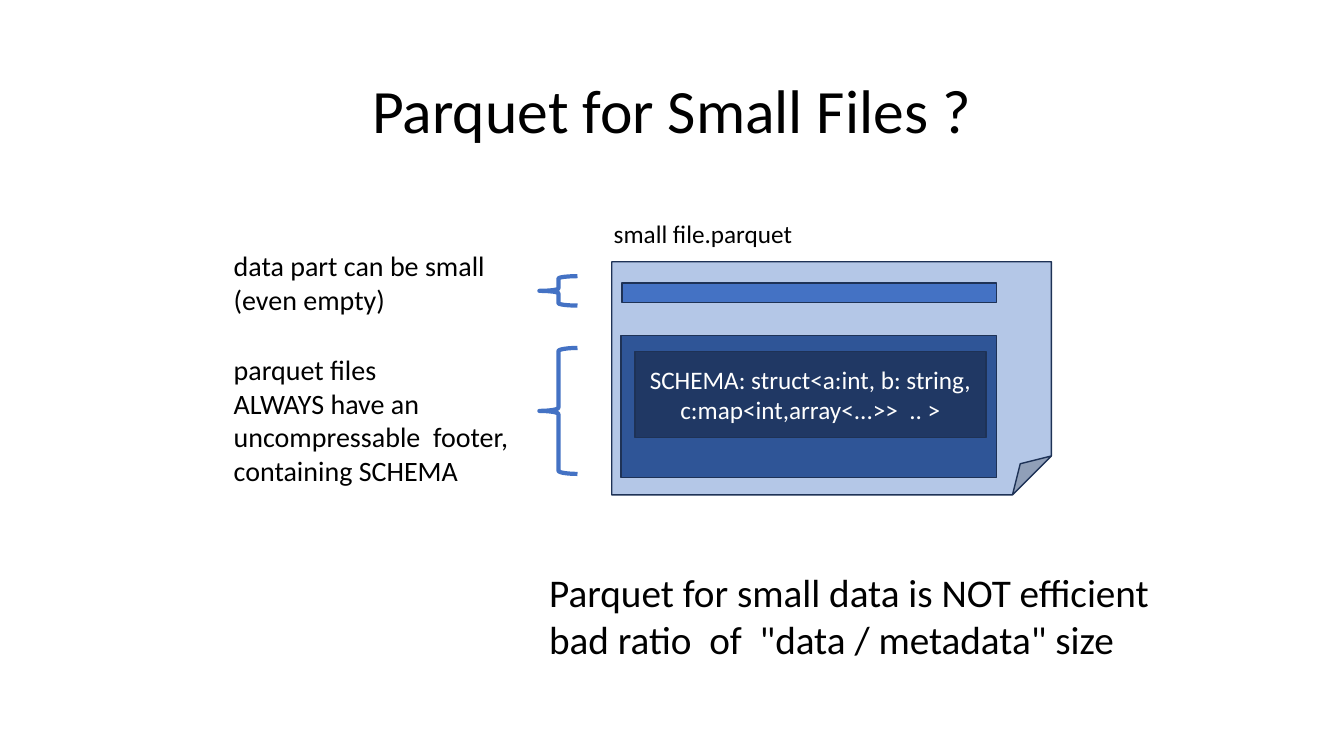
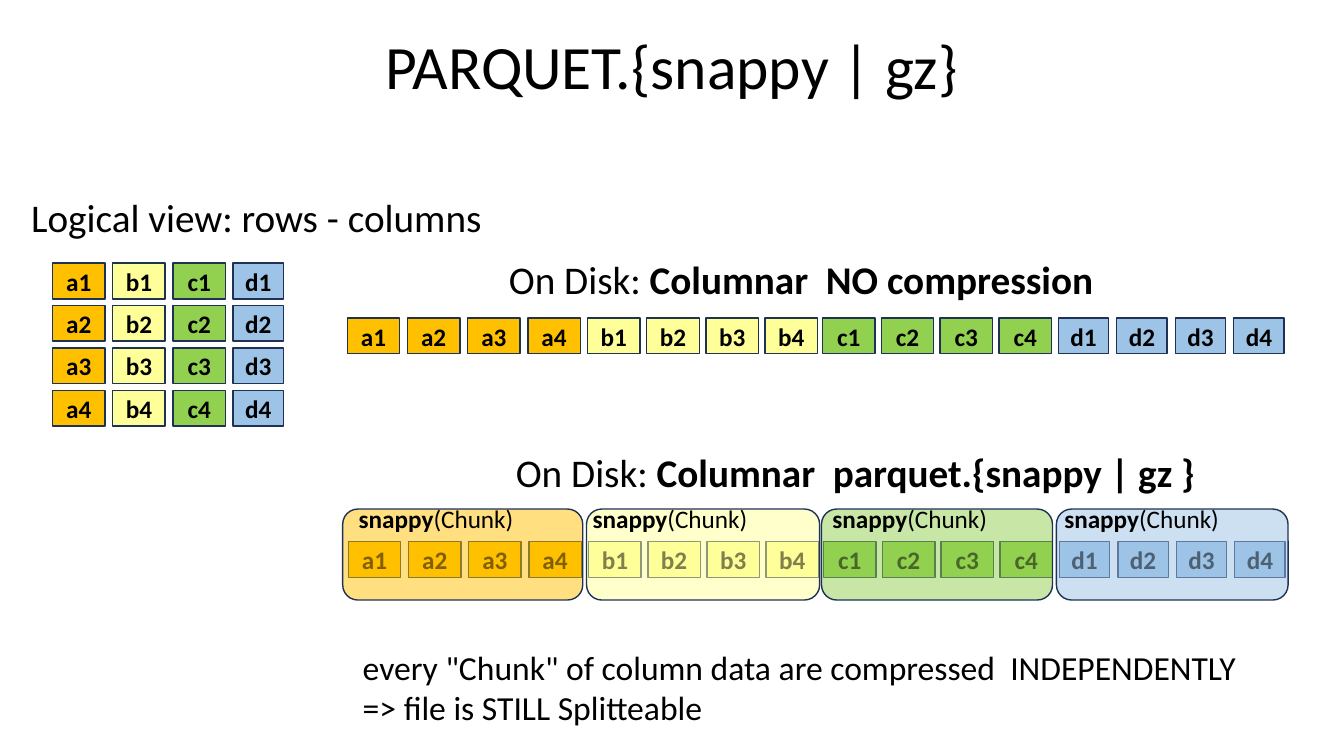
"""Build two slides about Parquet: small files and columnar compression."""
from dataclasses import dataclass
from typing import NamedTuple, Optional

from lxml import etree
from pptx import Presentation
from pptx.dml.color import RGBColor
from pptx.enum.shapes import MSO_SHAPE
from pptx.enum.text import MSO_ANCHOR, MSO_AUTO_SIZE, PP_ALIGN
from pptx.oxml.ns import qn
from pptx.shapes.autoshape import Shape
from pptx.slide import Slide
from pptx.util import Pt

RECT = MSO_SHAPE.RECTANGLE
ROUND_RECT = MSO_SHAPE.ROUNDED_RECTANGLE
FOLDED = MSO_SHAPE.FOLDED_CORNER
BRACE = MSO_SHAPE.LEFT_BRACE
MIDDLE = MSO_ANCHOR.MIDDLE
CENTER = PP_ALIGN.CENTER
NO_FIT = MSO_AUTO_SIZE.NONE
GROW = MSO_AUTO_SIZE.SHAPE_TO_FIT_TEXT

BLACK = RGBColor(0x00, 0x00, 0x00)
WHITE = RGBColor(0xFF, 0xFF, 0xFF)
OUTLINE = RGBColor(0x1E, 0x32, 0x56)
PAGE_BLUE = RGBColor(0xB4, 0xC7, 0xE7)
FOOTER_BLUE = RGBColor(0x2F, 0x55, 0x97)
SCHEMA_BLUE = RGBColor(0x20, 0x38, 0x64)
DATA_BLUE = RGBColor(0x44, 0x72, 0xC4)
ORANGE = RGBColor(0xFF, 0xC0, 0x00)
YELLOW = RGBColor(0xFF, 0xFF, 0x99)
GREEN = RGBColor(0x92, 0xD0, 0x50)
SKY = RGBColor(0x9D, 0xC3, 0xE6)

FONT = "Calibri"
ROWS = 4
CELL_HEIGHT = 25.5
GRID_LEFT, GRID_TOP = 37.5, 188
GRID_PITCH_X, GRID_PITCH_Y = 43, 30.25
DISK_TOP, CHUNK_CELL_TOP = 227.25, 387
CHUNK_TOP, CHUNK_HEIGHT, CHUNK_LABEL_TOP = 363.6, 65, 355.7


class Box(NamedTuple):
    """Place and size in points."""
    left: float
    top: float
    width: float
    height: float


class Run(NamedTuple):
    """Piece of text with its weight."""
    text: str
    bold: bool = False


@dataclass(frozen=True)
class Column:
    """Data column, its cells on disk and its compressed chunk."""
    name: str
    color: RGBColor
    cell_width: float
    disk_left: float
    pitch: float
    chunk_left: float
    chunk_width: float
    label_left: float


COLUMNS = (
    Column("a", ORANGE, 37.5, 248, 43, 244.8, 171.5, 249.1),
    Column("b", YELLOW, 37.5, 419.75, 42.25, 419, 166.5, 416.2),
    Column("c", GREEN, 37.5, 587.5, 42, 586.8, 165, 587.5),
    Column("d", SKY, 36, 756, 41.75, 754.6, 165.5, 753.1),
)


def emus(box: Box) -> list[Pt]:
    """Return the box as python-pptx lengths."""
    return [Pt(v) for v in box]


def style_runs(sp: Shape, size: float, color: RGBColor = BLACK) -> None:
    """Set font, size and colour of all the runs of a shape."""
    for p in sp.text_frame.paragraphs:
        for r in p.runs:
            r.font.name = FONT
            r.font.size = Pt(size)
            r.font.color.rgb = color


def add_title_slide(prs: Presentation, title: str, box: Box) -> Slide:
    """Add a title-only slide and place its title."""
    s = prs.slides.add_slide(prs.slide_layouts[5])
    sp = s.shapes.title
    sp.left, sp.top, sp.width, sp.height = emus(box)
    tf = sp.text_frame
    tf.text = title
    tf.auto_size = NO_FIT
    tf.vertical_anchor = MIDDLE
    tf.paragraphs[0].alignment = CENTER
    tf.paragraphs[0].line_spacing = 0.9
    style_runs(sp, 44)
    return s


def add_text(s: Slide, box: Box, size: float, *lines: list[Run]) -> None:
    """Add an unwrapped text box with one paragraph per line."""
    sp = s.shapes.add_textbox(*emus(box))
    tf = sp.text_frame
    tf.word_wrap = False
    tf.auto_size = GROW
    for i, line in enumerate(lines):
        p = tf.add_paragraph() if i else tf.paragraphs[0]
        for run in line:
            r = p.add_run()
            r.text = run.text
            r.font.bold = run.bold
    style_runs(sp, size)


def add_block(s: Slide, kind: MSO_SHAPE, box: Box, fill: Optional[RGBColor],
              line: RGBColor = OUTLINE, weight: float = 1) -> Shape:
    """Add a flat outlined shape, unfilled when fill is None."""
    sp = s.shapes.add_shape(kind, *emus(box))
    sp.shadow.inherit = False
    if fill is None:
        sp.fill.background()
    else:
        sp.fill.solid()
        sp.fill.fore_color.rgb = fill
    sp.line.color.rgb = line
    sp.line.width = Pt(weight)
    return sp


def add_cell(s: Slide, column: Column, row: int, left: float, top: float) -> None:
    """Add one labelled data cell."""
    sp = add_block(s, RECT, Box(left, top, column.cell_width, CELL_HEIGHT), column.color)
    tf = sp.text_frame
    tf.margin_left = tf.margin_right = tf.margin_top = tf.margin_bottom = 0
    tf.vertical_anchor = MIDDLE
    tf.text = f"{column.name}{row + 1}"
    p = tf.paragraphs[0]
    p.alignment = CENTER
    p.runs[0].font.bold = True
    style_runs(sp, 18)


def add_disk_row(s: Slide, top: float, shift: float = 0) -> None:
    """Add the cells of all columns one after the other."""
    for column in COLUMNS:
        for row in range(ROWS):
            add_cell(s, column, row, column.disk_left + shift + row * column.pitch, top)


def add_chunk(s: Slide, column: Column) -> None:
    """Add a half-transparent chunk and its label."""
    box = Box(column.chunk_left, CHUNK_TOP, column.chunk_width, CHUNK_HEIGHT)
    sp = add_block(s, ROUND_RECT, box, column.color)
    color = sp.fill._xPr.find(qn("a:solidFill")).find(qn("a:srgbClr"))
    etree.SubElement(color, qn("a:alpha")).set("val", "50000")
    add_text(s, Box(column.label_left, CHUNK_LABEL_TOP, 125.5, 29), 18,
             [Run("snappy", True), Run("(Chunk)")])


def build_small_files(prs: Presentation) -> None:
    """Build the slide on small files."""
    s = add_title_slide(prs, "Parquet for Small Files ?", Box(66, 28.75, 828, 104.4))
    add_block(s, FOLDED, Box(437, 187, 314, 166.5), PAGE_BLUE)
    add_block(s, RECT, Box(443.5, 239.75, 268.5, 101.5), FOOTER_BLUE)
    sp = add_block(s, RECT, Box(453.5, 251.25, 250.75, 61.25), SCHEMA_BLUE)
    tf = sp.text_frame
    tf.text = "SCHEMA: struct<a:int, b: string, c:map<int,array<...>>  .. >"
    tf.vertical_anchor = MIDDLE
    tf.paragraphs[0].alignment = CENTER
    style_runs(sp, 18, WHITE)
    add_block(s, RECT, Box(444.25, 202.25, 267.75, 13.75), DATA_BLUE)
    for top, height in ((248.5, 90), (197.25, 21)):
        add_block(s, BRACE, Box(385.25, top, 27.25, height), None, DATA_BLUE, 3)
    add_text(s, Box(431.3, 152.6, 143.3, 29), 18, [Run("small file.parquet")])
    add_text(s, Box(159.8, 248.4, 212.4, 104.4), 20,
             [Run("parquet files")], [Run("ALWAYS have an")],
             [Run("uncompressable  footer,")], [Run("containing SCHEMA")])
    add_text(s, Box(159.8, 174.2, 195.8, 55.4), 20,
             [Run("data part can be small")], [Run("(even empty)")])
    add_text(s, Box(385.2, 402.5, 454.3, 75), 28,
             [Run("Parquet for small data is NOT efficient")],
             [Run('bad ratio  of  "data / metadata" size')])


def build_compression(prs: Presentation) -> None:
    """Build the slide on columnar compression."""
    s = add_title_slide(prs, "PARQUET.{snappy | gz}", Box(66, 10.75, 828, 78.5))
    add_text(s, Box(15.1, 134.6, 339.8, 41), 28, [Run("Logical view: rows - columns")])
    for i, column in enumerate(COLUMNS):
        for row in range(ROWS):
            add_cell(s, column, row, GRID_LEFT + i * GRID_PITCH_X,
                     GRID_TOP + row * GRID_PITCH_Y)
    add_text(s, Box(356.4, 178.6, 436.3, 41), 28,
             [Run("On Disk: "), Run("Columnar  NO compression", True)])
    add_disk_row(s, DISK_TOP)
    add_text(s, Box(361.4, 316.8, 501.1, 41), 28,
             [Run("On Disk: "), Run("Columnar  parquet.{snappy | gz }", True)])
    add_disk_row(s, CHUNK_CELL_TOP, 0.75)
    for column in COLUMNS:
        add_chunk(s, column)
    add_text(s, Box(252, 458.6, 644.4, 65.5), 24,
             [Run('every "Chunk" of column data are compressed  INDEPENDENTLY')],
             [Run("=> file is STILL Splitteable")])


def main() -> None:
    """Build and save the presentation."""
    prs = Presentation()
    prs.slide_width, prs.slide_height = Pt(960), Pt(540)
    build_small_files(prs)
    build_compression(prs)
    prs.save("out.pptx")


if __name__ == "__main__":
    main()
